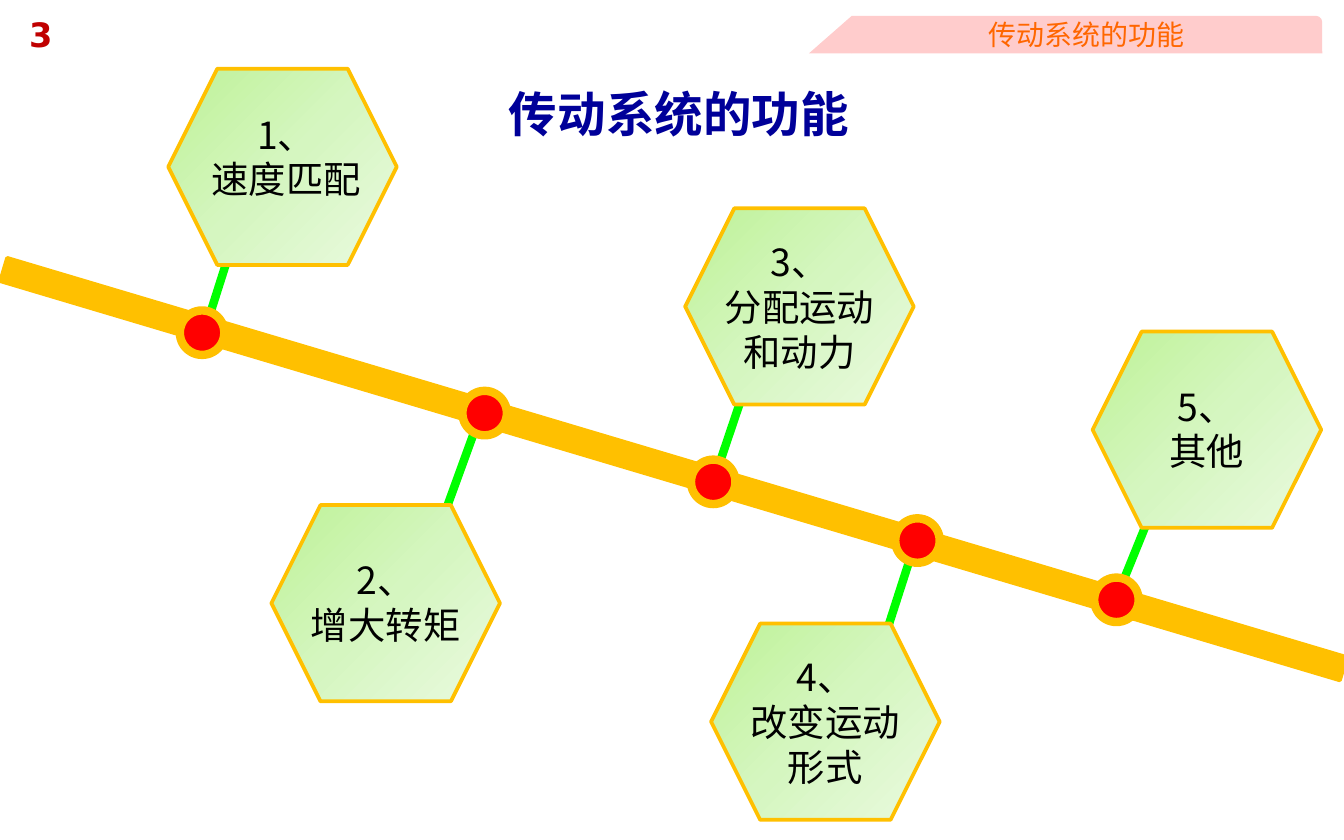
import copy
import dataclasses

import lxml.etree
import pptx
import pptx.dml.color
import pptx.enum.shapes
import pptx.enum.text
import pptx.oxml.ns
import pptx.util

Cm = pptx.util.Cm
Pt = pptx.util.Pt
Shape = pptx.enum.shapes.MSO_SHAPE
Align = pptx.enum.text.PP_ALIGN
Anchor = pptx.enum.text.MSO_ANCHOR
qn = pptx.oxml.ns.qn
rgb = pptx.dml.color.RGBColor.from_string


@dataclasses.dataclass(frozen=True)
class Theme:
    latin: str = "DejaVu Sans"
    chinese: str = "Noto Sans CJK SC"
    number: str = "C00000"
    title: str = "000099"
    header: str = "FF6600"
    header_fill: str = "FFCCCC"
    label: str = "000000"
    gold: str = "FFC000"
    stem: str = "00FF00"
    dot: str = "FF0000"
    gradient: tuple = ("BEF297", "D5F6C0", "EAFAE0")
    number_size: int = 18
    title_size: int = 26
    header_size: int = 15
    label_size: int = 20
    thin: float = 2
    thick: float = 4.5


theme = Theme()


def add_block(shapes, kind, left, top, width, height, fill, line=None, line_width=0):
    shape = shapes.add_shape(kind, Cm(left), Cm(top), Cm(width), Cm(height))
    shape.shadow.inherit = False
    if isinstance(fill, tuple):
        shape.fill.gradient()
        shape.fill.gradient_angle = 315
        first = shape._element.spPr.find(".//" + qn("a:gs"))
        first.addnext(copy.deepcopy(first))
        for index, (stop, color) in enumerate(zip(shape.fill.gradient_stops, fill)):
            stop.position = index / (len(fill) - 1)
            stop.color.rgb = rgb(color)
    else:
        shape.fill.solid()
        shape.fill.fore_color.rgb = rgb(fill)
    if line:
        shape.line.color.rgb = rgb(line)
        shape.line.width = Pt(line_width)
    else:
        shape.line.fill.background()
    return shape


def write(box, lines, size, color, font, align=Align.LEFT, bold=False, wrap=True):
    frame = box.text_frame
    frame.word_wrap = wrap
    frame.text = "\n".join(lines)
    for para in frame.paragraphs:
        para.alignment = align
        para.font.size = Pt(size)
        para.font.bold = bold
        para.font.color.rgb = rgb(color)
        para.font.name = font
        east = lxml.etree.SubElement(para.font._element, qn("a:ea"))
        east.set("typeface", theme.chinese)


deck = pptx.Presentation()
deck.slide_width = Cm(25.4)
deck.slide_height = Cm(15.88)
page = deck.slides.add_slide(deck.slide_layouts[6])

# Page number
number_box = page.shapes.add_textbox(Cm(0.3), Cm(0.13), Cm(5.8), Cm(0.84))
write(number_box, ["3"], theme.number_size, theme.number, theme.latin, bold=True)

# Milestones: hexagon corner, label offset, stem ends, dot corner, label
milestones = [
    ((3.18, 1.3), (0.3, 0.69), (4.67, 3.73, 3.99, 5.87), (3.4, 5.87), "速度匹配"),
    ((5.13, 9.55), (0.23, 0.86), (9.07, 7.87, 8.43, 9.63), (8.74, 7.39), "增大转矩"),
    ((12.95, 3.94), (0.23, 0.46), (14.12, 7.21, 13.51, 9.02), (13.06, 8.69), "分配运动和动力"),
    ((13.44, 11.79), (0.23, 0.46), (17.27, 10.34, 16.74, 11.99), (16.92, 9.8), "改变运动形式"),
    ((20.65, 6.27), (0.23, 0.86), (21.89, 9.35, 21.08, 11.35), (20.68, 10.92), "其他"),
]

# Stems behind the sloping bar
for _, _, ends, _, _ in milestones:
    stem = page.shapes.add_connector(
        pptx.enum.shapes.MSO_CONNECTOR.STRAIGHT, *[Cm(end) for end in ends])
    stem.line.color.rgb = rgb(theme.stem)
    stem.line.width = Pt(theme.thick)
    lxml.etree.SubElement(stem._element.spPr, qn("a:effectLst"))

# Sloping bar
bar = add_block(page.shapes, Shape.RECTANGLE, -0.48, 8.64, 26.42, 0.46,
                theme.gold, theme.gold, theme.thin)
bar.rotation = 16.6

# Hexagons with labels, and dots on the bar
for order, ((left, top), (shift, drop), _, dot, label) in enumerate(milestones, 1):
    group = page.shapes.add_group_shape()
    add_block(group.shapes, Shape.HEXAGON, left, top, 4.32, 3.71,
              theme.gradient, theme.gold, theme.thin)
    height = 2.82 if len(label) > 4 else 1.96
    label_box = group.shapes.add_textbox(
        Cm(left + shift), Cm(top + drop), Cm(3.86), Cm(height))
    write(label_box, [f"{order}、", label], theme.label_size, theme.label,
          theme.chinese, Align.CENTER)
    add_block(page.shapes, Shape.OVAL, *dot, 0.84, 0.84,
              theme.dot, theme.gold, theme.thick)

# Header tab
heading = "传动系统的功能"
tab = add_block(page.shapes, Shape.ROUND_1_RECTANGLE, 16.1, 0.3, 8.89, 0.71,
                theme.header_fill)
tab.text_frame.vertical_anchor = Anchor.MIDDLE
write(tab, [heading], theme.header_size, theme.header, theme.latin, Align.CENTER)
wedge = add_block(page.shapes, Shape.RIGHT_TRIANGLE, 15.29, 0.3, 0.81, 0.71,
                  theme.header_fill)
wedge._element.spPr.xfrm.set("flipH", "1")

# Title
title_box = page.shapes.add_textbox(Cm(9.37), Cm(1.47), Cm(7.04), Cm(1.37))
write(title_box, [heading], theme.title_size, theme.title, theme.chinese,
      bold=True, wrap=False)

deck.save("out.pptx")
